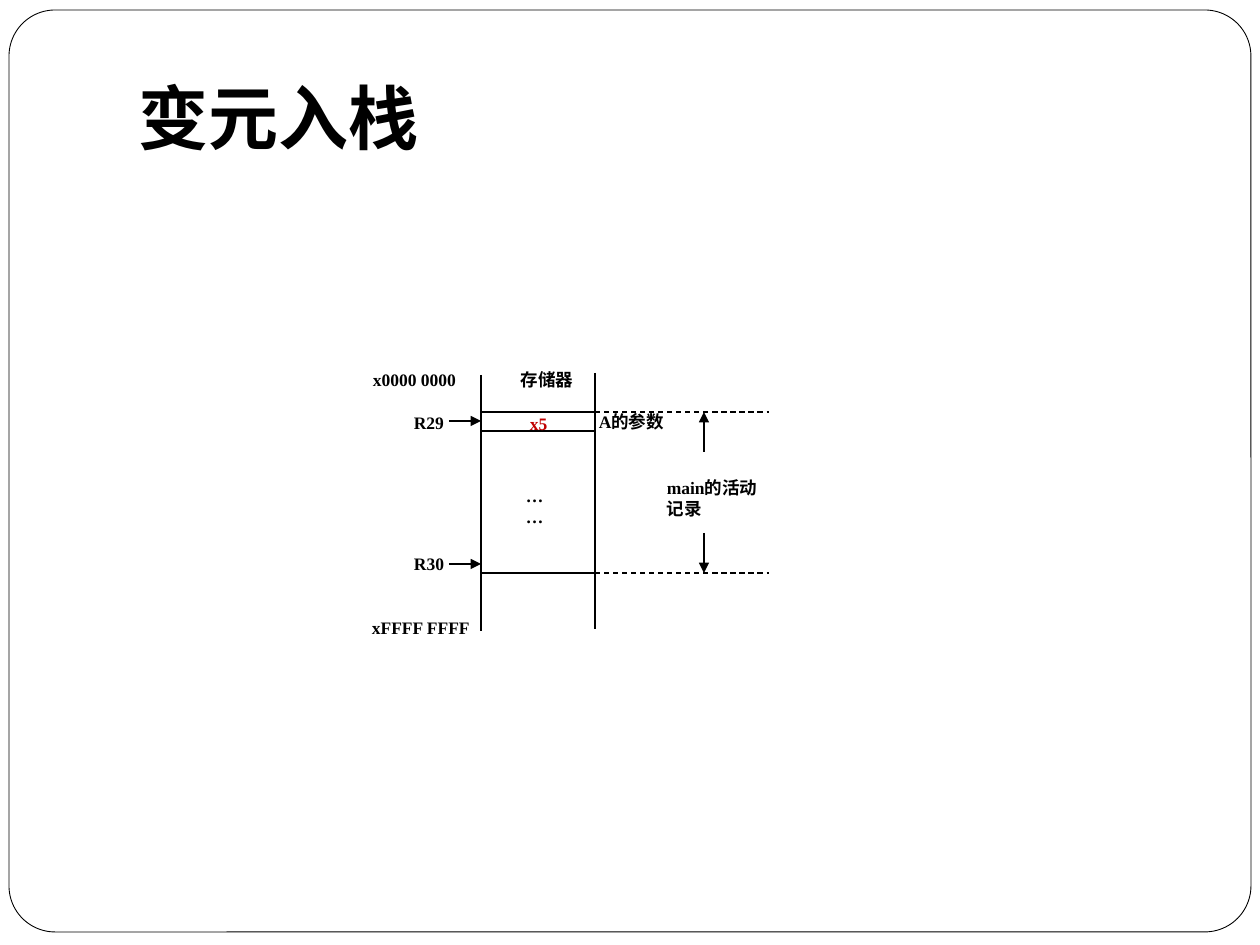
from dataclasses import dataclass

from lxml.etree import SubElement
from pptx import Presentation
from pptx.dml.color import RGBColor
from pptx.enum.dml import MSO_LINE_DASH_STYLE as Dash
from pptx.enum.shapes import MSO_CONNECTOR as Conn, MSO_SHAPE as Shape
from pptx.enum.text import MSO_ANCHOR as Anchor, MSO_AUTO_SIZE as Fit, PP_ALIGN as Align
from pptx.oxml.ns import qn
from pptx.util import Emu, Pt

BLACK = RGBColor(0x00, 0x00, 0x00)
WHITE = RGBColor(0xFF, 0xFF, 0xFF)
RED = RGBColor(0xC0, 0x00, 0x00)
SERIF = "Times New Roman"
HAN = "Noto Sans CJK SC"


@dataclass
class Label:
    text: str
    x: int
    y: int
    w: int
    h: int = 21
    color: RGBColor = BLACK


@dataclass
class Line:
    x1: int
    y1: int
    x2: int
    y2: int
    dash: bool = False
    arrow: bool = False


def px(n: int) -> Emu:
    return Emu(round(n * 914400 / 126))


def place(shape, x: int, y: int, w: int, h: int) -> None:
    shape.left, shape.top, shape.width, shape.height = map(px, (x, y, w, h))


def add_run(para, text: str, size: int, font: str, color: RGBColor) -> None:
    run = para.add_run()
    run.text = text
    run.font.size = Pt(size)
    run.font.bold = True
    run.font.color.rgb = color
    run.font.name = font
    SubElement(run._r.get_or_add_rPr(), qn("a:ea")).set("typeface", HAN)


def add_frame(slide) -> None:
    """Draw the rounded page border behind everything else."""
    frame = slide.shapes.add_shape(Shape.ROUNDED_RECTANGLE, px(9), px(10), px(1242), px(922))
    frame.adjustments[0] = 0.05
    frame.shadow.inherit = False
    frame.fill.solid()
    frame.fill.fore_color.rgb = WHITE
    frame.line.color.rgb = BLACK
    frame.line.width = Pt(0.5)
    slide.shapes._spTree.insert(2, frame._element)


def add_title(slide, text: str) -> None:
    title = slide.shapes.title
    place(title, 126, 38, 1071, 157)
    frame = title.text_frame
    frame.auto_size = Fit.NONE
    frame.vertical_anchor = Anchor.MIDDLE
    para = frame.paragraphs[0]
    para.alignment = Align.LEFT
    add_run(para, text, 40, HAN, BLACK)


def add_label(slide, label: Label) -> None:
    box = slide.shapes.add_textbox(px(label.x), px(label.y), px(label.w), px(label.h))
    frame = box.text_frame
    frame.word_wrap = True
    frame.margin_left = frame.margin_right = px(3)
    frame.margin_top = frame.margin_bottom = px(1)
    add_run(frame.paragraphs[0], label.text, 10, SERIF, label.color)


def add_line(slide, line: Line) -> None:
    conn = slide.shapes.add_connector(
        Conn.STRAIGHT, px(line.x1), px(line.y1), px(line.x2), px(line.y2))
    conn.line.color.rgb = BLACK
    conn.line.width = Pt(0.75)
    if line.dash:
        conn.line.dash_style = Dash.DASH
    if line.arrow:
        SubElement(conn.line._get_or_add_ln(), qn("a:tailEnd")).set("type", "triangle")
    SubElement(conn._element.spPr, qn("a:effectLst"))


# Edges of the memory column and of the activation record
LEFT, RIGHT, END = 481, 595, 769
TOP, SPLIT, BASE = 412, 431, 573
SPAN = 704

LINES = [
    Line(LEFT, 375, LEFT, 631),
    Line(RIGHT, 373, RIGHT, 629),
    *[Line(LEFT, y, RIGHT, y) for y in (TOP, SPLIT, BASE)],
    *[Line(RIGHT, y, END, y, dash=True) for y in (TOP, BASE)],
    *[Line(449, y, LEFT, y, arrow=True) for y in (421, 564)],
    Line(SPAN, 452, SPAN, TOP, arrow=True),
    Line(SPAN, 533, SPAN, BASE, arrow=True),
]

LABELS = [
    Label("x0000 0000", 370, 368, 121, 23),
    Label("存储器", 518, 368, 72, 33),
    Label("R29", 411, 411, 62),
    Label("A的参数", 596, 410, 102, 32),
    Label("main的活动记录", 664, 476, 101),
    Label("R30", 411, 552, 57),
    Label("xFFFF FFFF", 369, 616, 140, 24),
    Label("x5", 527, 412, 44, color=RED),
    Label("… …", 523, 484, 44),
]


def main() -> None:
    deck = Presentation()
    deck.slide_width, deck.slide_height = px(1260), px(945)
    slide = deck.slides.add_slide(deck.slide_layouts[5])
    add_frame(slide)
    add_title(slide, "变元入栈")
    for line in LINES:
        add_line(slide, line)
    for label in LABELS:
        add_label(slide, label)
    deck.save("out.pptx")


if __name__ == "__main__":
    main()
